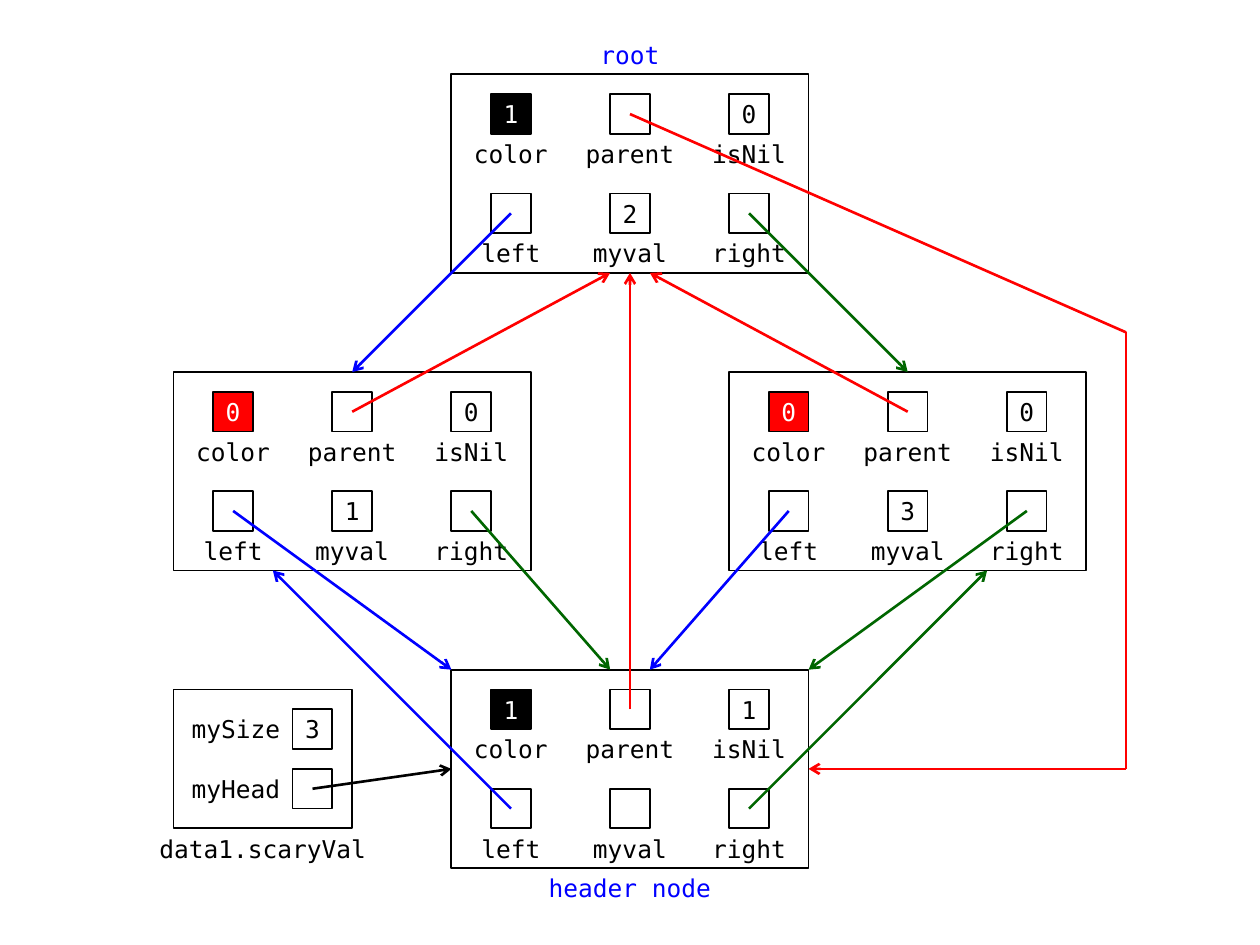
from lxml import etree
from pptx import Presentation
from pptx.dml.color import RGBColor as Rgb
from pptx.enum.shapes import MSO_CONNECTOR as Conn, MSO_SHAPE as Kind
from pptx.enum.text import MSO_ANCHOR as Anchor, PP_ALIGN as Align
from pptx.oxml.ns import qn
from pptx.util import Cm, Pt

HUES = {"black": "000000", "white": "FFFFFF", "red": "FF0000",
        "blue": "0000FF", "green": "006600"}
FONT = "DejaVu Sans Mono"
CELL, COL, ROW = 0.8, 2.4, 2.0      # cell side, column and row pitch in cm
WIDE, HIGH = 3 * COL, 2 * ROW       # size of a tree node
FIELDS = [["color", "parent", "isNil"], ["left", "myval", "right"]]

deck = Presentation()
deck.slide_width, deck.slide_height = Cm(25.4), Cm(19.05)
slide = deck.slides.add_slide(deck.slide_layouts[6])
shapes = slide.shapes


def hue(name):
    return Rgb.from_string(HUES[name])


def write(shape, text, color="black", align=Align.CENTER, inset=0):
    frame = shape.text_frame
    frame.margin_left = frame.margin_top = frame.margin_bottom = 0
    frame.margin_right = Cm(inset)
    frame.word_wrap = True
    frame.vertical_anchor = Anchor.MIDDLE
    para = frame.paragraphs[0]
    para.text, para.alignment = text, align
    para.font.name, para.font.size = FONT, Pt(14)
    para.font.color.rgb = hue(color)


def label(x, y, wide, text, **style):
    write(shapes.add_textbox(Cm(x), Cm(y), Cm(wide), Cm(CELL)), text, **style)


def box(x, y, wide, high, fill="white"):
    rect = shapes.add_shape(Kind.RECTANGLE, Cm(x), Cm(y), Cm(wide), Cm(high))
    rect.shadow.inherit = False
    rect.fill.solid()
    rect.fill.fore_color.rgb = hue(fill)
    rect.line.color.rgb = hue("black")
    rect.line.width = Pt(1)
    return rect


def cell(x, y, text="", fill="white"):
    """Draw one square and return its centre."""
    rect = box(x, y, CELL, CELL, fill)
    if text:
        write(rect, text, "black" if fill == "white" else "white")
    return x + CELL / 2, y + CELL / 2


def node(x, y, fill, vals):
    """Draw a tree node and return the centres of its cells by field."""
    box(x, y, WIDE, HIGH)
    spots = {}
    for r, names in enumerate(FIELDS):
        for c, name in enumerate(names):
            left, top = x + c * COL, y + r * ROW
            tint = fill if name == "color" else "white"
            spots[name] = cell(left + (COL - CELL) / 2, top + 0.4,
                               vals.get(name, ""), tint)
            label(left, top + 1.2, COL, name)
    return spots


def owner(x, y):
    """Draw the container data and return the centre of its head cell."""
    wide, high = 3.6, 2.8
    box(x, y, wide, high)
    for i, (name, val) in enumerate([("mySize", "3"), ("myHead", "")]):
        top = y + 0.4 + 1.2 * i
        spot = cell(x + COL, top, val)
        label(x, top, COL, name, align=Align.RIGHT, inset=0.25)
    label(x - 0.8, y + high, wide + 1.6, "data1.scaryVal")
    return spot


def link(start, end, color, head=True):
    line = shapes.add_connector(Conn.STRAIGHT, *map(Cm, start + end))
    line.line.color.rgb = hue(color)
    line.line.width = Pt(1.5)
    if head:
        tip = etree.SubElement(line.line._get_or_add_ln(), qn("a:tailEnd"))
        tip.set("type", "arrow")
    etree.SubElement(line._element.spPr, qn("a:effectLst"))


# Tree nodes
SPOTS = {"head": (9.1, 13.5), "root": (9.1, 1.5),
         "right": (14.7, 7.5), "left": (3.5, 7.5)}
DATA = {"head": ("black", "1", "1", ""), "root": ("black", "1", "0", "2"),
        "right": ("red", "0", "0", "3"), "left": ("red", "0", "0", "1")}
cells = {}
for name, (fill, color, nil, val) in DATA.items():
    cells[name] = node(*SPOTS[name], fill,
                       {"color": color, "isNil": nil, "myval": val})

# Container data and captions
start = owner(3.5, 13.9)
mid = SPOTS["root"][0] + WIDE / 2
label(mid - 1.2, 0.7, COL, "root", color="blue")
label(mid - 2, 17.5, 4, "header node", color="blue")


def edge(name, dx, dy):
    x, y = SPOTS[name]
    return x + dx, y + dy


# Pointers: node, field, target node, offset in the target
half = WIDE / 2
PAINT = {"left": "blue", "right": "green", "parent": "red"}
LINKS = [
    ("head", "left", "left", 2, HIGH),
    ("head", "parent", "root", half, HIGH),
    ("head", "right", "right", WIDE - 2, HIGH),
    ("left", "parent", "root", half - 0.4, HIGH),
    ("right", "parent", "root", half + 0.4, HIGH),
    ("root", "left", "left", half, 0),
    ("root", "right", "right", half, 0),
    ("left", "left", "head", 0, 0),
    ("left", "right", "head", half - 0.4, 0),
    ("right", "left", "head", half + 0.4, 0),
    ("right", "right", "head", WIDE, 0),
]
link(start, edge("head", 0, HIGH / 2), "black")
for src, field, dest, dx, dy in LINKS:
    link(cells[src][field], edge(dest, dx, dy), PAINT[field])

# Path from the root's parent around the right side to the header
stops = [cells["root"]["parent"], (22.7, 6.7), (22.7, 15.5),
         edge("head", WIDE, HIGH / 2)]
for i, (a, b) in enumerate(zip(stops, stops[1:])):
    link(a, b, "red", head=i == 2)

deck.save("out.pptx")
